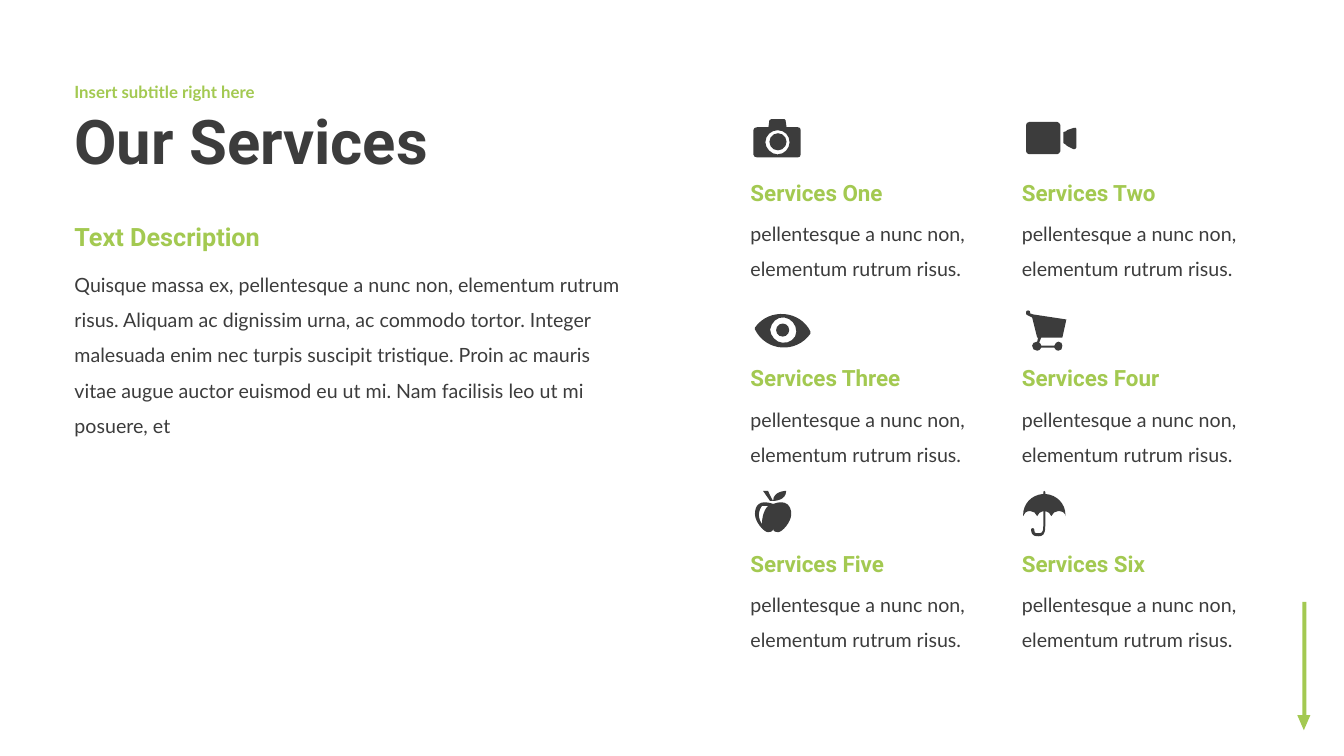
from dataclasses import dataclass

from pptx import Presentation
from pptx.dml.color import RGBColor
from pptx.enum.shapes import MSO_SHAPE as Preset
from pptx.enum.text import MSO_ANCHOR as Anchor, MSO_AUTO_SIZE as AutoSize
from pptx.oxml.ns import qn
from pptx.shapes.autoshape import Shape
from pptx.slide import Slide
from pptx.util import Pt

GREEN = "A3C951"
DARK = "3C3C3C"
HEADING_FONT = "Roboto"
BODY_FONT = "Lato"

ICON_GRID = 0.72
COLUMN_LEFT, COLUMN_STEP = 529, 193.8
ROW_TOP, ROW_STEP = 124.5, 132.4

Point = tuple[int, int]


@dataclass(frozen=True)
class Box:
    left: float
    top: float
    width: float
    height: float


@dataclass(frozen=True)
class TextStyle:
    font: str
    size: float
    color: str
    bold: bool = False
    line_spacing: float = 1.0


@dataclass(frozen=True)
class Icon:
    left: float
    top: float
    outlines: tuple[str, ...]
    dot: Box | None = None


@dataclass(frozen=True)
class Service:
    name: str
    icon: Icon


TITLE = TextStyle(HEADING_FONT, 44, DARK, True, 0.9)
SUBTITLE = TextStyle(BODY_FONT, 12, GREEN, True, 0.9)
SECTION = TextStyle(HEADING_FONT, 18, GREEN, True)
SERVICE_NAME = TextStyle(HEADING_FONT, 16, GREEN, True)
BODY = TextStyle(BODY_FONT, 14, DARK, line_spacing=1.5)

SERVICE_TEXT = "pellentesque a nunc non, elementum rutrum risus."
DESCRIPTION = (
    "Quisque massa ex, pellentesque a nunc non, elementum rutrum risus. "
    "Aliquam ac dignissim urna, ac commodo tortor. Integer malesuada enim nec "
    "turpis suscipit tristique. Proin ac mauris vitae augue auctor euismod eu "
    "ut mi. Nam facilisis leo ut mi posuere, et"
)

CAMERA = Icon(538.1, 85.1, (
    "M 44 8 L 33 8 L 32 1 C 32 0 31 0 31 0 L 18 0 C 17 0 17 0 16 1 L 15 8 L 4 8 "
    "C 2 8 0 9 0 11 L 0 35 C 0 37 2 38 4 38 L 44 38 C 46 38 47 37 47 35 L 47 11 "
    "C 47 9 46 8 44 8 M 24 35 C 18 35 12 29 12 23 C 12 16 18 11 24 11 "
    "C 31 11 36 16 36 23 C 36 29 31 35 24 35",
), Box(16, 14, 17, 17))

VIDEO = Icon(732.96, 87.12, (
    "M 31 0 L 3 0 C 1 0 0 2 0 3 L 0 29 C 0 30 1 32 3 32 L 31 32 "
    "C 32 32 34 30 34 29 L 34 3 C 34 2 32 0 31 0",
    "M 47 6 L 41 8 C 40 9 39 10 37 10 L 37 21 C 39 22 40 23 41 24 L 47 27 "
    "C 48 27 50 27 50 25 L 50 7 C 50 6 48 5 47 6",
))

EYE = Icon(539.28, 219.6, (
    "M 0 20 L 0 22 C 11 44 41 46 55 26 L 55 24 C 45 3 14 0 0 20 "
    "M 27 35 C 21 35 15 28 15 22 C 16 15 22 9 29 10 C 36 11 41 17 41 24 "
    "C 41 31 34 36 27 35",
), Box(21, 16, 13, 13))

CART = Icon(732.96, 221.76, (
    "M 32 31 C 30 31 29 33 28 35 L 15 35 C 15 33 14 33 13 32 L 15 27 L 36 27 "
    "L 40 9 L 7 4 L 4 3 L 4 2 C 4 1 4 0 2 0 C 0 0 0 1 0 2 C 0 4 0 5 2 5 L 6 7 "
    "L 11 27 L 12 27 L 11 31 C 8 31 6 33 6 35 C 6 38 8 40 11 40 "
    "C 13 40 14 39 15 37 L 28 37 C 29 39 30 40 32 40 C 35 40 36 38 36 35 "
    "C 36 33 35 31 32 31",
))

APPLE = Icon(539.28, 350.64, (
    "M 18 13 C 4 8 0 15 0 23 C 0 31 9 41 13 41 C 18 41 18 38 18 38 "
    "C 18 38 18 41 23 41 C 27 41 36 31 36 23 C 36 15 31 8 18 13 "
    "M 7 33 C 0 23 7 15 7 15 L 13 15 C 13 15 7 20 7 33",
    "M 18 10 C 15 5 13 0 13 0 L 8 0 L 15 10",
    "M 31 0 C 31 0 18 0 18 10 C 18 10 31 10 31 0",
))

UMBRELLA = Icon(730.8, 350.64, (
    "M 22 3 L 22 1 C 22 1 22 0 21 0 C 20 0 20 1 20 1 L 20 3 C 8 4 0 13 0 24 "
    "L 0 25 C 1 22 3 20 7 20 C 10 20 13 22 14 25 C 15 23 17 20 20 20 L 20 35 "
    "C 20 42 18 42 15 42 C 11 42 11 41 11 38 C 11 37 10 37 10 37 "
    "C 9 37 8 37 8 38 C 8 41 8 45 15 45 C 19 45 22 44 22 35 L 22 20 "
    "C 25 20 27 23 28 25 C 29 22 32 20 35 20 C 39 20 42 22 42 25 L 42 24 "
    "C 42 13 34 4 22 3",
))

SERVICES = (
    Service("Services One", CAMERA),
    Service("Services Two", VIDEO),
    Service("Services Three", EYE),
    Service("Services Four", CART),
    Service("Services Five", APPLE),
    Service("Services Six", UMBRELLA),
)


def hex_color(value: str) -> RGBColor:
    return RGBColor.from_string(value)


def paint(shape: Shape, color: str) -> None:
    shape.shadow.inherit = False
    shape.fill.solid()
    shape.fill.fore_color.rgb = hex_color(color)
    shape.line.fill.background()


def add_preset(slide: Slide, preset: Preset, box: Box, color: str) -> Shape:
    shape = slide.shapes.add_shape(
        preset, Pt(box.left), Pt(box.top), Pt(box.width), Pt(box.height))
    paint(shape, color)
    return shape


def add_text(slide: Slide, box: Box, text: str, style: TextStyle,
             anchor: Anchor = Anchor.TOP) -> None:
    shape = slide.shapes.add_textbox(
        Pt(box.left), Pt(box.top), Pt(box.width), Pt(box.height))
    frame = shape.text_frame
    frame.word_wrap = True
    frame.vertical_anchor = anchor
    frame.auto_size = (
        AutoSize.SHAPE_TO_FIT_TEXT if anchor == Anchor.TOP else AutoSize.NONE)
    paragraph = frame.paragraphs[0]
    paragraph.line_spacing = style.line_spacing
    run = paragraph.add_run()
    run.text = text
    run.font.name = style.font
    run.font.size = Pt(style.size)
    run.font.bold = style.bold
    run.font.color.rgb = hex_color(style.color)


def contour_points(contour: str) -> list[Point]:
    numbers = [Pt(float(token) * ICON_GRID)
               for token in contour.split() if token not in "LC"]
    return list(zip(numbers[::2], numbers[1::2]))


def bend_curves(shape: Shape, outline: str) -> None:
    segments = iter(list(shape.element.iter(qn("a:lnTo"))))
    for command in (token for token in outline.split() if token in "LC"):
        segment = next(segments)
        if command == "C":
            segment.tag = qn("a:cubicBezTo")
            for follower in (next(segments), next(segments)):
                segment.append(follower[0])
                follower.getparent().remove(follower)


def add_icon(slide: Slide, icon: Icon) -> None:
    for outline in icon.outlines:
        first, *holes = [contour_points(part) for part in outline.split("M")[1:]]
        builder = slide.shapes.build_freeform(*first[0])
        builder.add_line_segments(first[1:], close=True)
        for hole in holes:
            builder.move_to(*hole[0])
            builder.add_line_segments(hole[1:], close=True)
        shape = builder.convert_to_shape(Pt(icon.left), Pt(icon.top))
        bend_curves(shape, outline)
        paint(shape, DARK)
    if icon.dot:
        dot = icon.dot
        add_preset(slide, Preset.OVAL, Box(
            icon.left + dot.left * ICON_GRID, icon.top + dot.top * ICON_GRID,
            dot.width * ICON_GRID, dot.height * ICON_GRID), DARK)


def main() -> None:
    presentation = Presentation()
    presentation.slide_width, presentation.slide_height = Pt(960), Pt(540)
    slide = presentation.slides.add_slide(presentation.slide_layouts[6])

    add_preset(slide, Preset.RECTANGLE, Box(930.24, 430, 2.88, 80.64), GREEN)
    arrow_tip = add_preset(
        slide, Preset.ISOSCELES_TRIANGLE, Box(926.64, 510.8, 9.36, 10.8), GREEN)
    arrow_tip.rotation = 180

    add_text(slide, Box(46.08, 66.24, 540, 74.16), "Our Services", TITLE, Anchor.MIDDLE)
    add_text(slide, Box(46.08, 53, 540, 27.36), "Insert subtitle right here",
             SUBTITLE, Anchor.MIDDLE)
    add_text(slide, Box(46.08, 182.88, 406.8, 106.56), DESCRIPTION, BODY)
    add_text(slide, Box(46.08, 154.4, 210.24, 28.8), "Text Description", SECTION)

    for index, service in enumerate(SERVICES):
        row, column = divmod(index, 2)
        left = COLUMN_LEFT + column * COLUMN_STEP
        top = ROW_TOP + row * ROW_STEP
        add_icon(slide, service.icon)
        add_text(slide, Box(left, top + 22.2, 185.04, 55.44), SERVICE_TEXT, BODY)
        add_text(slide, Box(left, top, 156.24, 26.64), service.name, SERVICE_NAME)

    presentation.save("out.pptx")


if __name__ == "__main__":
    main()
